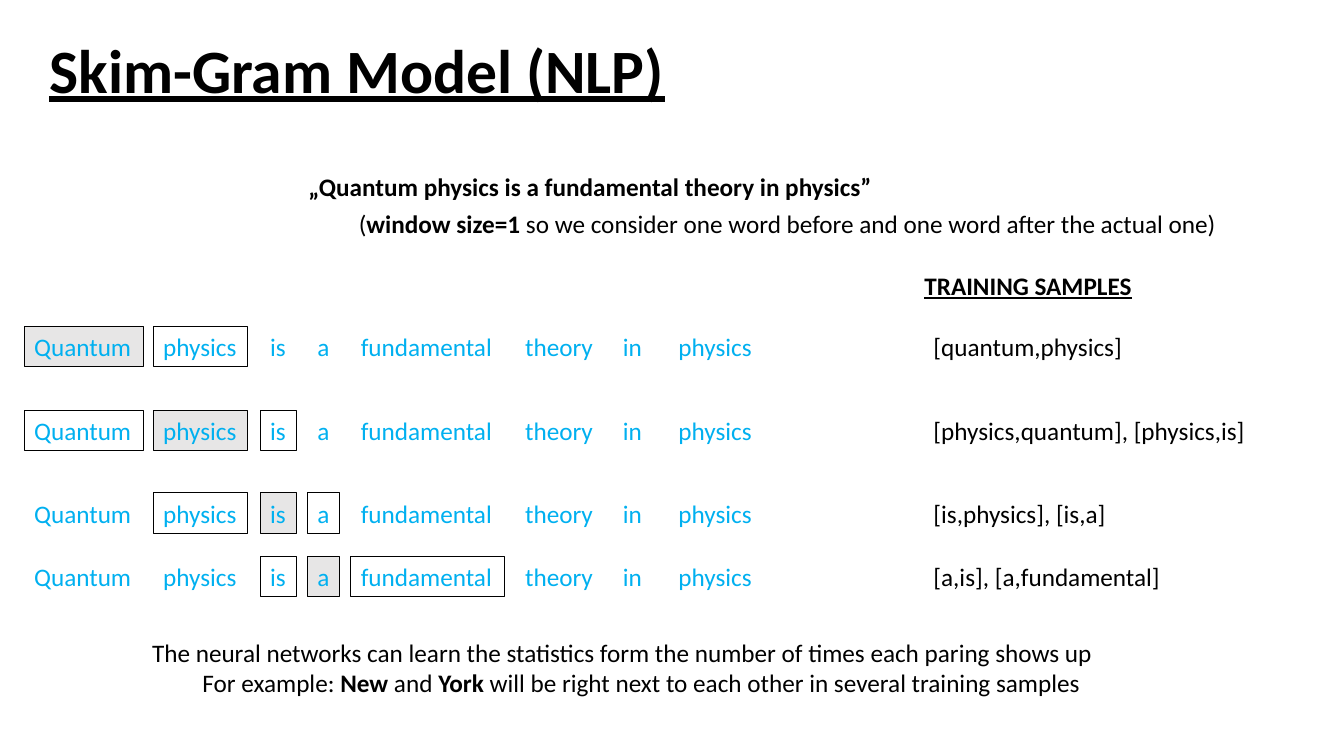
from pptx import Presentation
from pptx.dml.color import RGBColor
from pptx.enum.shapes import MSO_SHAPE as Shape
from pptx.enum.text import MSO_ANCHOR as Anchor, MSO_AUTO_SIZE as AutoSize, PP_ALIGN as Align
from pptx.util import Inches, Pt

BLACK, BLUE, GREY = "000000", "00B0F0", "E7E6E6"
LINE_HEIGHT = 0.4
WORDS = [
    ("Quantum", 0, 1.18), ("physics", 1.28, 0.94), ("is", 2.34, 0.36), ("a", 2.81, 0.32),
    ("fundamental", 3.24, 1.52), ("theory", 4.87, 0.88), ("in", 5.84, 0.39), ("physics", 6.39, 0.94),
]
ROWS = [(3.24, 2.09), (4.07, 3.32), (4.89, 1.93), (5.52, 2.47)]
SENTENCE_LEFT, SAMPLES_LEFT = 0.24, 9.16


def rgb(value):
    """Return the colour for a hex string."""
    return RGBColor.from_string(value)


def format_font(font, size=18, color=BLACK, bold=False, underline=False):
    """Set the typeface, size, colour and emphasis of a font."""
    font.name, font.size = "Calibri", Pt(size)
    font.color.rgb = rgb(color)
    font.bold, font.underline = bold, underline


def fill_text(box, lines, color=BLACK, underline=False):
    """Write lines of (text, bold) spans into a box that fits its text."""
    frame = box.text_frame
    frame.word_wrap, frame.auto_size = False, AutoSize.SHAPE_TO_FIT_TEXT
    frame.vertical_anchor = Anchor.TOP
    for index, spans in enumerate(lines):
        para = frame.add_paragraph() if index else frame.paragraphs[0]
        para.alignment = Align.LEFT
        for text, bold in spans:
            span = para.add_run()
            span.text = text
            format_font(span.font, color=color, bold=bold, underline=underline)


def add_text(page, left, top, width, lines, color=BLACK, underline=False):
    """Add a text box holding the given lines."""
    height = LINE_HEIGHT if len(lines) == 1 else 0.71
    box = page.shapes.add_textbox(Inches(left), Inches(top), Inches(width), Inches(height))
    fill_text(box, lines, color, underline)


def add_framed_word(page, left, top, width, word, is_center):
    """Add a word in a frame, shaded when it is the centre of the window."""
    box = page.shapes.add_shape(Shape.RECTANGLE, Inches(left), Inches(top), Inches(width), Inches(LINE_HEIGHT))
    box.shadow.inherit = False
    if is_center:
        box.fill.solid()
        box.fill.fore_color.rgb = rgb(GREY)
    else:
        box.fill.background()
    box.line.color.rgb, box.line.width = rgb(BLACK), Pt(0.75)
    fill_text(box, [[(word, False)]], BLUE)


def add_title(page, left, top, width, height):
    """Place and format the slide title."""
    title = page.shapes.title
    title.left, title.top, title.width, title.height = map(Inches, (left, top, width, height))
    title.text_frame.text = "Skim-Gram Model (NLP)"
    title.text_frame.vertical_anchor = Anchor.MIDDLE
    para = title.text_frame.paragraphs[0]
    para.alignment, para.line_spacing = Align.LEFT, 0.9
    format_font(para.runs[0].font, 44, bold=True, underline=True)


def add_sentence(page, left, top, center):
    """Lay out the sentence and frame the window of one word around its centre."""
    for index, (word, offset, width) in enumerate(WORDS):
        if abs(index - center) <= 1:
            add_framed_word(page, left + offset, top, width, word, index == center)
        else:
            add_text(page, left + offset, top, width, [[(word, False)]], BLUE)


def add_samples(page, left, top, width, center):
    """List the pairs of the centre word with its neighbours."""
    words = [word.lower() for word, _, _ in WORDS]
    neighbours = [index for index in (center - 1, center + 1) if 0 <= index < len(words)]
    pairs = ", ".join(f"[{words[center]},{words[index]}]" for index in neighbours)
    add_text(page, left, top, width, [[(pairs, False)]])


def add_introduction(page, left, top):
    """Add the quoted sentence and the window size."""
    add_text(page, left, top, 5.84, [[("„Quantum physics is a fundamental theory in physics”", True)]])
    add_text(page, left + 0.5, top + 0.37, 8.75, [[
        ("(", False), ("window size=1 ", True),
        ("so we consider one word before and one word after the actual one)", False),
    ]])


def add_conclusion(page, left, top, width):
    """Add the closing remark and its example."""
    add_text(page, left, top, width, [
        [("The neural networks can learn the statistics form the number of times each paring shows up", False)],
        [("\tFor example: ", False), ("New", True), (" and ", False), ("York", True),
         (" will be right next to each other in several training samples", False)],
    ])


def main():
    """Build the slide and save the deck."""
    deck = Presentation()
    deck.slide_width, deck.slide_height = Inches(13.33), Inches(7.5)
    page = deck.slides.add_slide(deck.slide_layouts[5])
    add_title(page, 0.39, 0, 11.5, 1.45)
    add_introduction(page, 2.96, 1.65)
    add_text(page, 9.07, 2.63, 2.28, [[("TRAINING SAMPLES", True)]], underline=True)
    for center, (top, samples_width) in enumerate(ROWS):
        add_sentence(page, SENTENCE_LEFT, top, center)
        add_samples(page, SAMPLES_LEFT, top, samples_width, center)
    add_conclusion(page, 1.41, 6.27, 9.99)
    deck.save("out.pptx")


if __name__ == "__main__":
    main()
